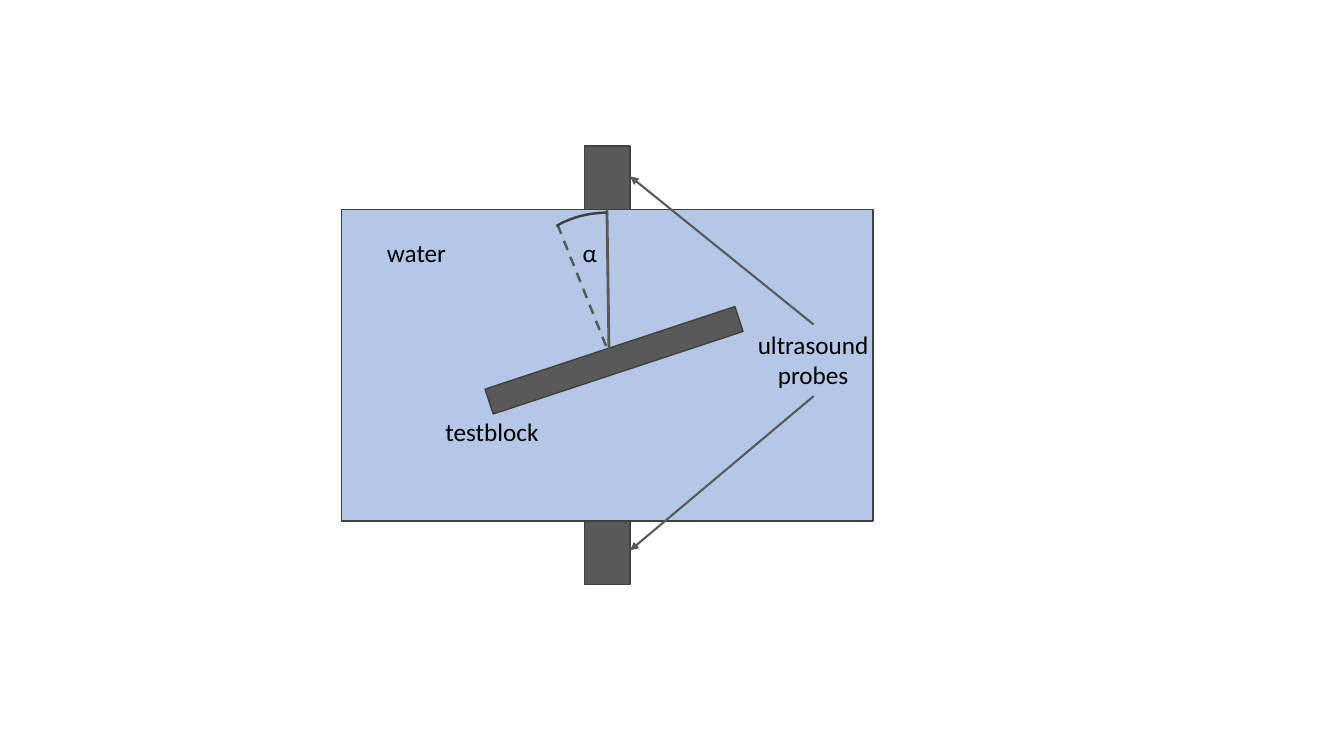
"""Draw an ultrasound test setup with a tilted block in a water tank."""
from dataclasses import dataclass

from lxml import etree
from pptx import Presentation
from pptx.dml.color import RGBColor
from pptx.enum.dml import MSO_LINE
from pptx.enum.shapes import MSO_CONNECTOR, MSO_SHAPE
from pptx.enum.text import MSO_AUTO_SIZE, PP_ALIGN
from pptx.oxml.ns import qn
from pptx.shapes.autoshape import Shape
from pptx.slide import Slide
from pptx.util import Inches, Pt

RECTANGLE, ARC = MSO_SHAPE.RECTANGLE, MSO_SHAPE.ARC
STRAIGHT, DASH = MSO_CONNECTOR.STRAIGHT, MSO_LINE.DASH
LEFT, CENTER = PP_ALIGN.LEFT, PP_ALIGN.CENTER
FIT_TEXT = MSO_AUTO_SIZE.SHAPE_TO_FIT_TEXT
COLORS = {"solid": "595959", "outline": "404040", "water": "B4C7E7", "text": "000000"}
FONT = "Calibri"


@dataclass(frozen=True)
class Body:
    box: tuple[float, float, float, float]
    fill: str
    rotation: float = 0


@dataclass(frozen=True)
class Ray:
    start: tuple[float, float]
    end: tuple[float, float]
    width: float
    dashed: bool = False
    arrow: bool = False


@dataclass(frozen=True)
class Label:
    box: tuple[float, float, float, float]
    lines: tuple[str, ...]
    align: PP_ALIGN = LEFT


BODIES = (
    Body((5.8, 1.45, 0.45, 4.35), "solid"),
    Body((3.39, 2.08, 5.27, 3.09), "water"),
    Body((5.96, 2.27, 0.26, 2.61), "solid", 71.7),
)
ANGLE_SIDES = (
    Ray((6.02, 2.08), (6.04, 3.46), 2),
    Ray((5.53, 2.23), (6.03, 3.48), 1.75, dashed=True),
)
ANGLE_ARC = (5.18, 2.11, 1.68, 1.34)
LABELS = (
    Label((5.68, 2.31, 0.28, 0.4), ("α",)),
    Label((3.74, 2.31, 1.24, 0.4), ("water",)),
    Label((4.32, 4.08, 1.17, 0.4), ("testblock",)),
    Label((7.31, 3.22, 1.51, 0.71), ("ultrasound", "probes"), CENTER),
)
PROBE_POINTERS = (
    Ray((8.07, 3.22), (6.25, 1.75), 1.5, arrow=True),
    Ray((8.07, 3.93), (6.25, 5.46), 1.5, arrow=True),
)


def color(name: str) -> RGBColor:
    """Return the named colour."""
    return RGBColor.from_string(COLORS[name])


def add_outlined(slide: Slide, kind: MSO_SHAPE, box: tuple, width: float) -> Shape:
    """Add a preset shape with an outline and no shadow."""
    shape = slide.shapes.add_shape(kind, *map(Inches, box))
    shape.shadow.inherit = False
    shape.line.color.rgb = color("outline")
    shape.line.width = Pt(width)
    return shape


def draw_body(slide: Slide, body: Body) -> None:
    """Draw a filled part of the setup."""
    shape = add_outlined(slide, RECTANGLE, body.box, 1)
    shape.fill.solid()
    shape.fill.fore_color.rgb = color(body.fill)
    shape.rotation = body.rotation


def draw_arc(slide: Slide) -> None:
    """Draw the arc that marks the tilt angle."""
    arc = add_outlined(slide, ARC, ANGLE_ARC, 1.75)
    arc.fill.background()
    arc.adjustments[0] = 162
    arc.adjustments[1] = 187.83
    arc.element.spPr.find(qn("a:xfrm")).set("flipH", "1")


def draw_ray(slide: Slide, ray: Ray) -> None:
    """Draw a straight line, dashed or arrowed if asked."""
    ends = map(Inches, ray.start + ray.end)
    connector = slide.shapes.add_connector(STRAIGHT, *ends)
    connector.line.color.rgb = color("solid")
    connector.line.width = Pt(ray.width)
    if ray.dashed:
        connector.line.dash_style = DASH
    properties = connector.element.spPr
    if ray.arrow:
        outline = properties.find(qn("a:ln"))
        etree.SubElement(outline, qn("a:tailEnd"), type="triangle")
    etree.SubElement(properties, qn("a:effectLst"))


def draw_label(slide: Slide, label: Label) -> None:
    """Write a label, one paragraph per line."""
    frame = slide.shapes.add_textbox(*map(Inches, label.box)).text_frame
    frame.word_wrap = True
    frame.auto_size = FIT_TEXT
    for index, line in enumerate(label.lines):
        paragraph = frame.add_paragraph() if index else frame.paragraphs[0]
        paragraph.alignment = label.align
        run = paragraph.add_run()
        run.text = line
        run.font.name = FONT
        run.font.size = Pt(18)
        run.font.color.rgb = color("text")


def main() -> None:
    """Build and save the slide."""
    deck = Presentation()
    deck.slide_width, deck.slide_height = Inches(13.33), Inches(7.5)
    slide = deck.slides.add_slide(deck.slide_layouts[6])
    for body in BODIES:
        draw_body(slide, body)
    for side in ANGLE_SIDES:
        draw_ray(slide, side)
    draw_arc(slide)
    for label in LABELS:
        draw_label(slide, label)
    for pointer in PROBE_POINTERS:
        draw_ray(slide, pointer)
    deck.save("out.pptx")


if __name__ == "__main__":
    main()
